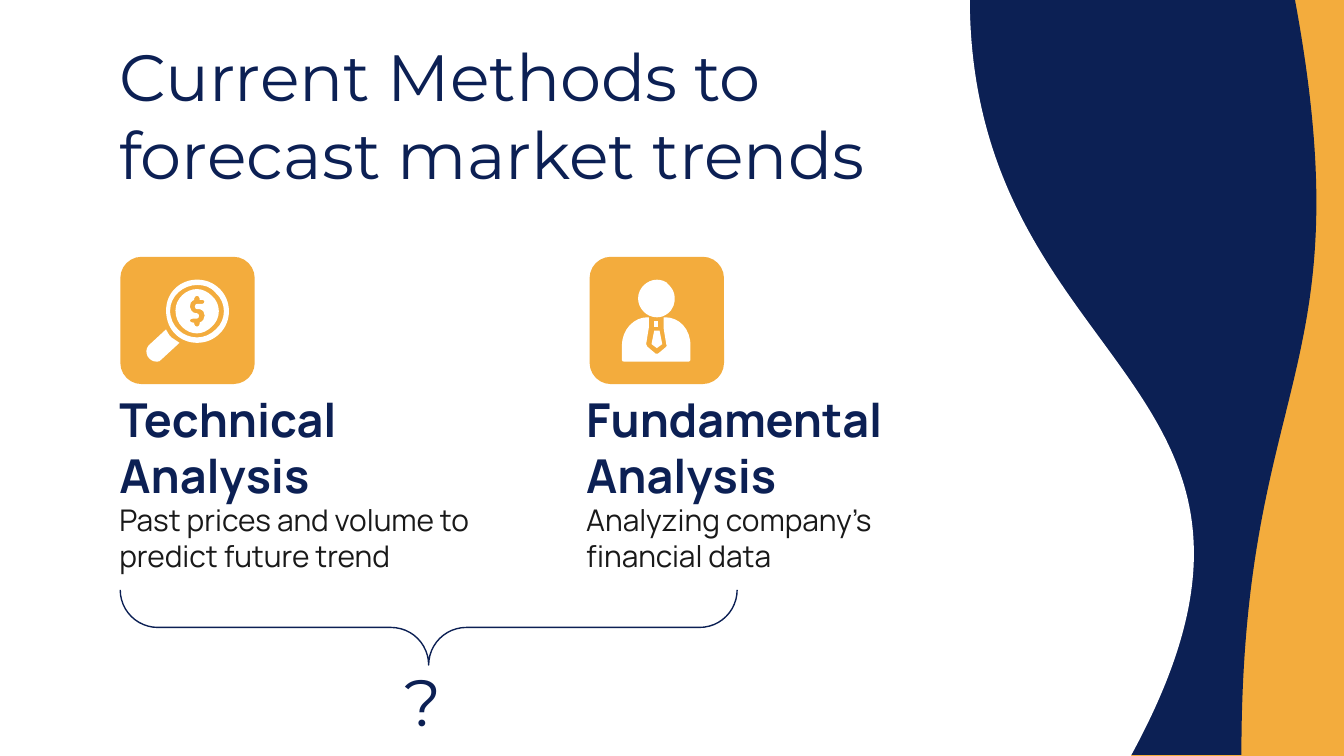
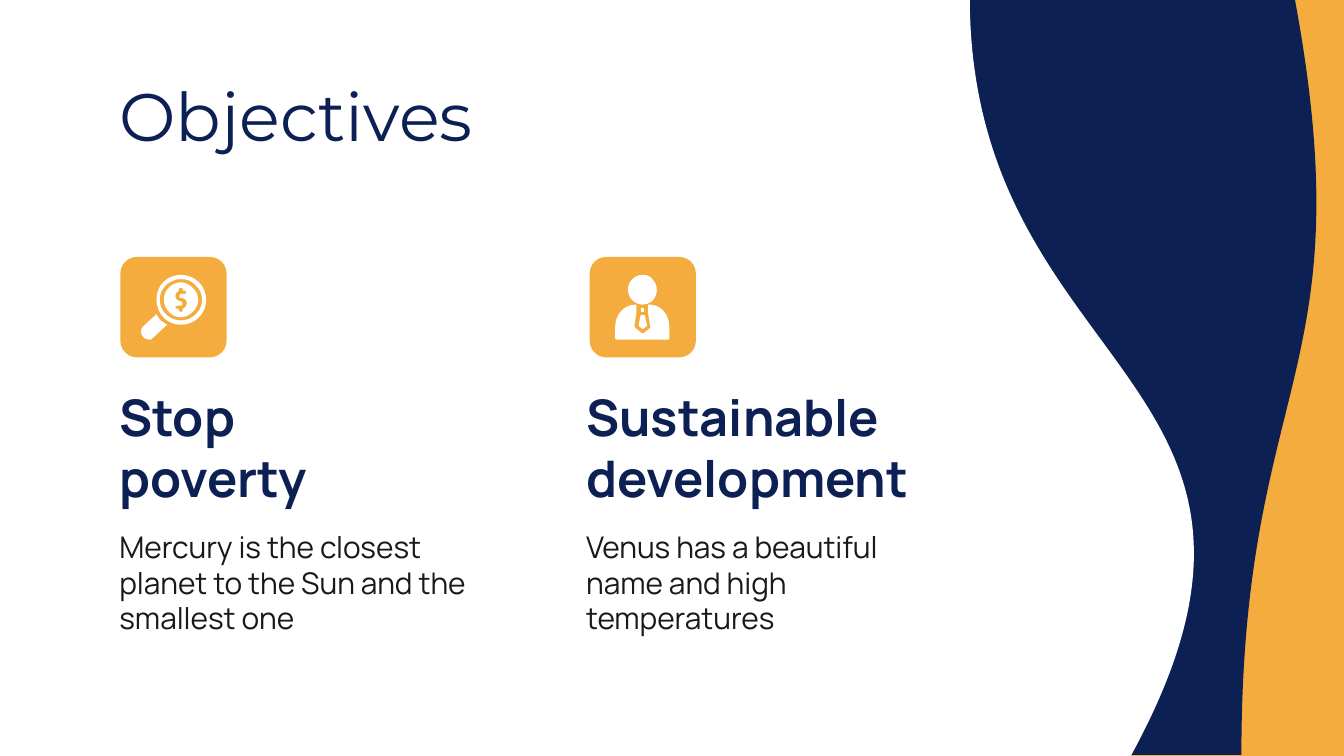
from itertools import groupby
from pptx import Presentation
from pptx.dml.color import RGBColor
from pptx.enum import shapes, text
from pptx.oxml.ns import qn
from pptx.util import Pt

NAVY = RGBColor(0x0C, 0x20, 0x54)
ORANGE = RGBColor(0xF3, 0xAC, 0x3D)
WHITE = RGBColor(0xFF, 0xFF, 0xFF)
INK = RGBColor(0x19, 0x19, 0x19)
TITLE_FONT, BODY_FONT = "Montserrat", "Manrope"

SLIDES = [
    {
        "title": "Current Methods to forecast market trends",
        "title_size": 35,
        "heading_size": 25,
        "tile_scale": 1,
        "body_top": 260,
        "columns": [
            (["Technical Analysis"], "Past prices and volume to predict future trend"),
            (["Fundamental Analysis"], "Analyzing company’s financial data"),
        ],
        "conclusion": "?",
    },
    {
        "title": "Objectives",
        "title_size": 36,
        "heading_size": 27,
        "tile_scale": 0.79,
        "body_top": 283.8,
        "columns": [
            (["Stop", "poverty"],
             "Mercury is the closest planet to the Sun and the smallest one"),
            (["Sustainable development"],
             "Venus has a beautiful name and high temperatures"),
        ],
    },
]

MAGNIFIER = [
    "M 57 21 C 62 21 67 22 71 27 C 79 34 79 47 71 54 C 67 58 62 60 57 60 "
    "C 47 60 37 52 37 40 C 37 29 47 21 57 21 "
    "M 57 17 C 45 17 34 26 34 40 C 34 55 45 64 57 64 C 63 64 69 62 74 57 "
    "C 83 48 83 33 74 24 C 69 19 63 17 57 17",
    "M 34 54 L 21 66 C 17 71 21 78 27 78 C 28 78 30 78 31 76 L 44 64 "
    "C 42 63 40 61 38 60 C 36 58 35 56 34 54",
    "M 57 29 C 58 29 59 30 59 31 L 59 32 L 61 32 C 63 32 63 35 61 35 L 57 35 "
    "C 55 35 55 39 57 39 C 58 39 58 39 59 39 C 64 40 64 47 59 49 L 59 50 "
    "C 59 51 58 52 57 52 C 56 52 55 51 55 50 L 55 49 L 54 49 "
    "C 51 49 51 46 54 46 L 57 46 C 59 46 59 42 57 42 C 57 42 56 42 56 42 "
    "C 51 41 50 34 55 32 L 55 31 C 55 30 56 29 57 29 "
    "M 57 24 C 49 24 41 31 41 40 C 41 50 49 57 57 57 C 61 57 65 55 68 52 "
    "C 75 46 75 35 68 29 C 65 26 61 24 57 24",
]
BUSINESSMAN = [
    "M 50 17 C 43 17 36 23 36 31 C 36 38 42 45 50 45 C 62 45 68 30 59 21 "
    "C 57 18 53 17 50 17",
    "M 43 45 C 33 45 24 54 24 66 L 24 77 C 24 78 25 78 26 78 L 74 78 "
    "C 75 78 75 78 75 77 L 75 66 C 75 54 67 45 56 45 L 55 45 L 55 53 L 57 65 "
    "C 58 66 57 66 57 67 L 51 72 C 50 72 50 72 50 72 C 49 72 49 72 49 72 "
    "L 43 67 C 42 66 42 66 42 65 L 44 53 L 44 45",
    "M 48 55 L 46 65 L 50 68 L 54 65 L 52 55",
    "M 48 48 L 48 52 L 51 52 L 51 48",
]

ICONS = [MAGNIFIER, BUSINESSMAN]
TILE_LEFTS = [64.5, 315.9]
TEXT_LEFTS = [56.9, 307]
TILE_TOP, TILE_WIDTH, TILE_HEIGHT = 137.6, 72, 68.2
HEADING_TOP, COLUMN_WIDTH, COLUMN_HEIGHT = 211.2, 206.6, 56.2
TITLE_BOX = (56.9, 42.1, 456.5, 38.2)
CONCLUSION_BOX = (209.5, 356, 41, 38.2)
BRACE_BOX = (209.5, 170.9, 40.3, 330.5)
NAVY_WAVE = (397.1, 93.6, 405, 216.7)
WHITE_WAVE = (119.8, -121.7, 408.2, 648)


def paint(shape, fill=None, line=None):
    shape.shadow.inherit = False
    if fill is None:
        shape.fill.background()
    else:
        shape.fill.solid()
        shape.fill.fore_color.rgb = fill
    if line is None:
        shape.line.fill.background()
    else:
        shape.line.color.rgb = line
        shape.line.width = Pt(0.75)
    return shape


def add_preset(slide, kind, box, fill=None, line=None, rotation=0):
    shape = slide.shapes.add_shape(kind, *map(Pt, box))
    shape.rotation = rotation
    return paint(shape, fill, line)


def add_waves(slide):
    wave = shapes.MSO_SHAPE.FLOWCHART_DOCUMENT
    navy = add_preset(slide, wave, NAVY_WAVE, NAVY, rotation=270)
    navy._element.spPr.xfrm.set("flipH", "1")
    add_preset(slide, wave, WHITE_WAVE, WHITE, rotation=270)


def add_text(slide, box, lines, size, font, color, bold=False):
    frame = slide.shapes.add_textbox(*map(Pt, box)).text_frame
    frame.word_wrap = True
    frame.vertical_anchor = text.MSO_ANCHOR.MIDDLE
    frame.margin_left = frame.margin_right = Pt(7.2)
    frame.margin_top = frame.margin_bottom = Pt(7.2)
    frame.text = "\n".join(lines)
    for paragraph in frame.paragraphs:
        paragraph.font.size = Pt(size)
        paragraph.font.name = font
        paragraph.font.bold = bold
        paragraph.font.color.rgb = color


def contours(outline):
    for contour in outline.split("M")[1:]:
        numbers = [int(token) for token in contour.split() if token.isdigit()]
        yield list(zip(numbers[::2], numbers[1::2]))


def bend(shape, outline):
    segments = iter(list(shape._element.iter(qn("a:lnTo"))))
    for command in filter(str.isalpha, outline.split()):
        if command == "L":
            next(segments)
        elif command == "C":
            curve = next(segments)
            curve.tag = qn("a:cubicBezTo")
            for extra in (next(segments), next(segments)):
                curve.append(extra[0])
                extra.getparent().remove(extra)


def add_icon(slide, outlines, left, top, scale):
    unit = TILE_WIDTH * scale / 100
    icon = slide.shapes.add_group_shape()
    for outline in outlines:
        builder = None
        for contour in contours(outline):
            start, *rest = [(Pt(left + x * unit), Pt(top + y * unit)) for x, y in contour]
            if builder is None:
                builder = icon.shapes.build_freeform(*start)
            else:
                builder.move_to(*start)
            builder.add_line_segments(rest, close=True)
        part = paint(builder.convert_to_shape(), WHITE)
        bend(part, outline)


def add_column(slide, content, index):
    heading, body = content["columns"][index]
    scale, tile_left, text_left = content["tile_scale"], TILE_LEFTS[index], TEXT_LEFTS[index]
    add_preset(slide, shapes.MSO_SHAPE.ROUNDED_RECTANGLE,
               (tile_left, TILE_TOP, TILE_WIDTH * scale, TILE_HEIGHT * scale), ORANGE)
    add_icon(slide, ICONS[index], tile_left, TILE_TOP, scale)
    add_text(slide, (text_left, HEADING_TOP, COLUMN_WIDTH, COLUMN_HEIGHT),
             heading, content["heading_size"], BODY_FONT, NAVY, bold=True)
    add_text(slide, (text_left, content["body_top"], COLUMN_WIDTH, COLUMN_HEIGHT),
             [body], 16, BODY_FONT, INK)


def add_conclusion(slide, conclusion, size):
    brace = add_preset(slide, shapes.MSO_SHAPE.LEFT_BRACE, BRACE_BOX, line=NAVY, rotation=270)
    brace.adjustments[0] = 0.5
    brace.adjustments[1] = 0.5
    add_text(slide, CONCLUSION_BOX, [conclusion], size, TITLE_FONT, NAVY)


def main():
    deck = Presentation()
    deck.slide_width, deck.slide_height = Pt(720), Pt(405)
    for content in SLIDES:
        slide = deck.slides.add_slide(deck.slide_layouts[6])
        slide.background.fill.solid()
        slide.background.fill.fore_color.rgb = ORANGE
        add_waves(slide)
        add_text(slide, TITLE_BOX, [content["title"]], content["title_size"], TITLE_FONT, NAVY)
        for index in range(len(content["columns"])):
            add_column(slide, content, index)
        if "conclusion" in content:
            add_conclusion(slide, content["conclusion"], content["title_size"])
    deck.save("out.pptx")


if __name__ == "__main__":
    main()
